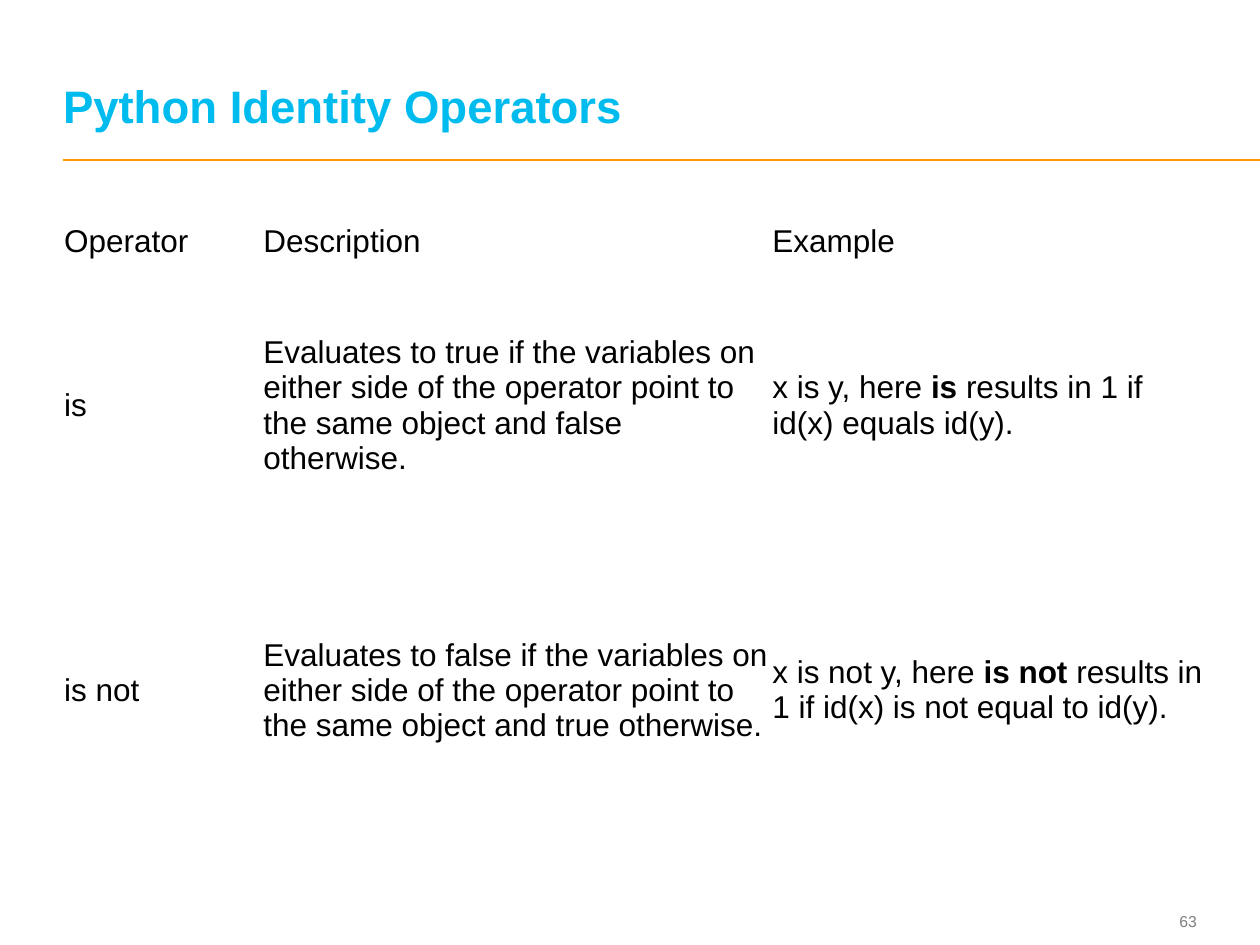
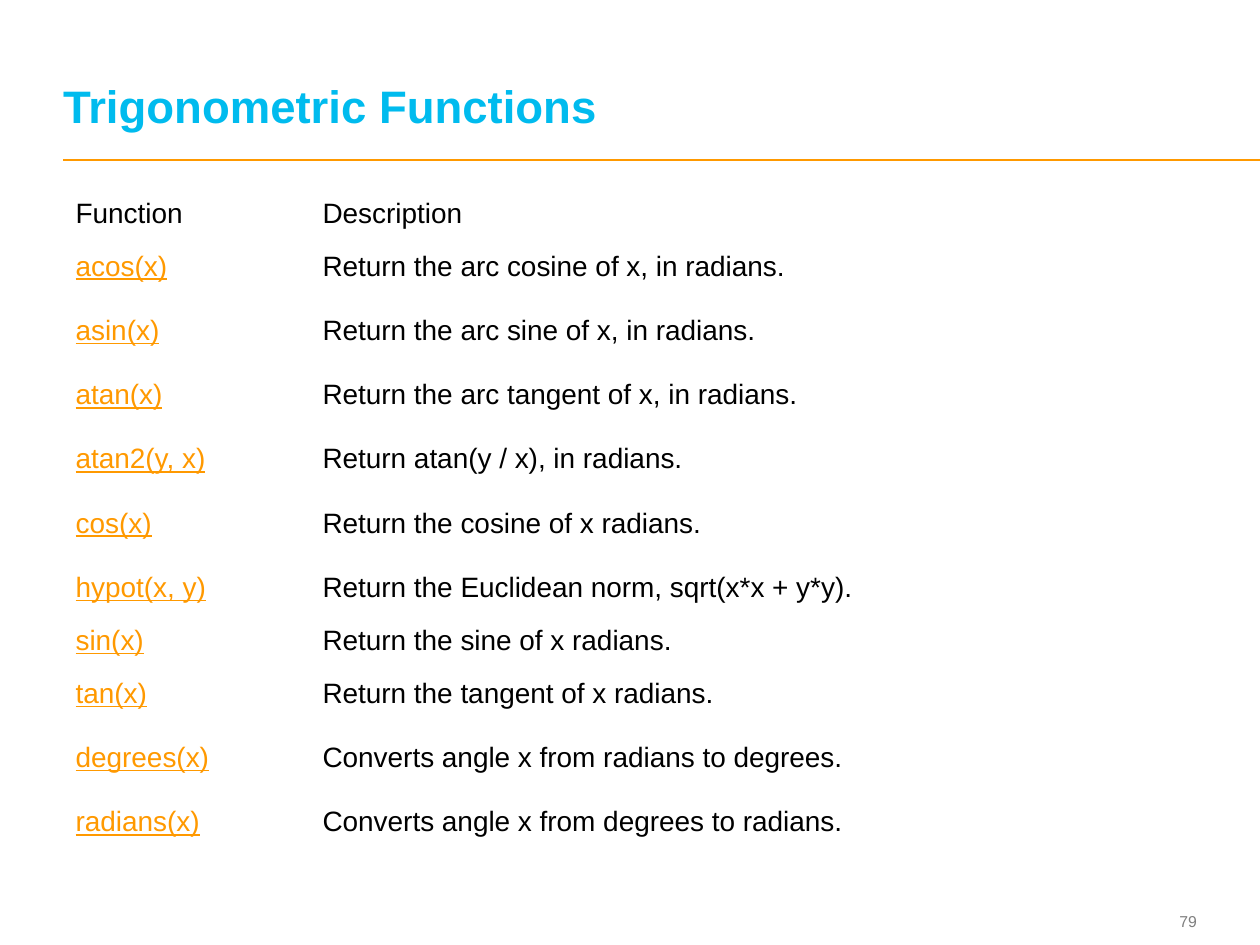
from lxml.etree import SubElement
from pptx import Presentation
from pptx.dml.color import RGBColor
from pptx.enum.shapes import MSO_CONNECTOR as Connector
from pptx.enum.text import MSO_ANCHOR as Anchor, MSO_AUTO_SIZE as AutoSize, PP_ALIGN as Align
from pptx.oxml.ns import qn
from pptx.util import Inches, Pt

COLORS = {"title": "00BBEE", "accent": "FF9900", "text": "000000", "number": "7F7F7F"}
FONT = "Arial"
WIDTH, HEIGHT = 10, 7.5
MARGIN = WIDTH / 20
RULE_Y = 1.27

IDENTITY_ROWS = [
    ("Operator", "Description", "Example"),
    ("is",
     "Evaluates to true if the variables on either side of the operator point to "
     "the same object and false otherwise.",
     ("x is y, here ", "is", " results in 1 if id(x) equals id(y).")),
    ("is not",
     "Evaluates to false if the variables on either side of the operator point to "
     "the same object and true otherwise.",
     ("x is not y, here ", "is not", " results in 1 if id(x) is not equal to id(y).")),
]

TRIG_ROWS = [
    ("Function", "Description"),
    ("acos(x)", "Return the arc cosine of x, in radians."),
    ("asin(x)", "Return the arc sine of x, in radians."),
    ("atan(x)", "Return the arc tangent of x, in radians."),
    ("atan2(y, x)", "Return atan(y / x), in radians."),
    ("cos(x)", "Return the cosine of x radians."),
    ("hypot(x, y)", "Return the Euclidean norm, sqrt(x*x + y*y)."),
    ("sin(x)", "Return the sine of x radians."),
    ("tan(x)", "Return the tangent of x radians."),
    ("degrees(x)", "Converts angle x from radians to degrees."),
    ("radians(x)", "Converts angle x from degrees to radians."),
]

PAGES = [
    {"title": "Python Identity Operators", "number": "63", "rows": IDENTITY_ROWS,
     "corner": (MARGIN, 1.75), "columns": (1.58, 4.04, 3.46),
     "tall": 2.26, "short": 0.34, "short_rows": {0},
     "inset": (0.01, 0.01), "size": 18, "linked": False},
    {"title": "Trigonometric Functions", "number": "79", "rows": TRIG_ROWS,
     "corner": (0.54, 1.53), "columns": (1.96, 7.33),
     "tall": 0.51, "short": 0.33, "short_rows": {0, 7},
     "inset": (0.06, 0.03), "size": 16, "linked": True},
]


def style(run, size, color, bold=False, underline=False):
    font = run.font
    font.name, font.size, font.bold = FONT, Pt(size), bold
    font.underline = underline
    font.color.rgb = RGBColor.from_string(COLORS[color])


def set_insets(holder, across, down):
    holder.margin_left = holder.margin_right = Inches(across)
    holder.margin_top = holder.margin_bottom = Inches(down)


def fill_line(shape, text, anchor, align, size, color, bold=False):
    frame = shape.text_frame
    frame.text = text
    frame.word_wrap = True
    frame.auto_size = AutoSize.NONE
    frame.vertical_anchor = anchor
    set_insets(frame, 0, 0)
    line = frame.paragraphs[0]
    line.alignment = align
    style(line.runs[0], size, color, bold)
    return line


def add_heading(slide, text):
    title = slide.shapes.title
    title.left, title.top = Inches(MARGIN), Inches(0.19)
    title.width, title.height = Inches(8.97), Inches(0.86)
    heading = fill_line(title, text, Anchor.BOTTOM, Align.LEFT, 26, "title", True)
    heading.line_spacing = Pt(26)


def add_frame(slide, number):
    rule = slide.shapes.add_connector(
        Connector.STRAIGHT, Inches(MARGIN), Inches(RULE_Y), Inches(WIDTH), Inches(RULE_Y))
    rule.line.color.rgb = RGBColor.from_string(COLORS["accent"])
    rule.line.width = Pt(1)
    SubElement(rule.element.spPr, qn("a:effectLst"))
    width = 0.59
    page_number = slide.shapes.add_textbox(
        Inches(WIDTH - MARGIN - width), Inches(7.18), Inches(width), Inches(0.27))
    fill_line(page_number, number, Anchor.MIDDLE, Align.RIGHT, 9, "number")


def fill_cell(cell, content, page, is_link):
    cell.fill.background()
    cell.vertical_anchor = Anchor.MIDDLE
    set_insets(cell, *page["inset"])
    paragraph = cell.text_frame.paragraphs[0]
    parts = (content,) if isinstance(content, str) else content
    for index, part in enumerate(parts):
        run = paragraph.add_run()
        run.text = part
        style(run, page["size"], "accent" if is_link else "text",
              bold=index == 1, underline=is_link)


def add_grid(slide, page):
    rows, columns = page["rows"], page["columns"]
    heights = [page["short"] if index in page["short_rows"] else page["tall"]
               for index in range(len(rows))]
    left, top = page["corner"]
    table = slide.shapes.add_table(
        len(rows), len(columns), Inches(left), Inches(top),
        Inches(sum(columns)), Inches(sum(heights))).table
    table.first_row = table.horz_banding = False
    for column, width in zip(table.columns, columns):
        column.width = Inches(width)
    for r, (row, height) in enumerate(zip(rows, heights)):
        table.rows[r].height = Inches(height)
        for c, content in enumerate(row):
            fill_cell(table.cell(r, c), content, page, page["linked"] and r > 0 and c == 0)


def main():
    deck = Presentation()
    deck.slide_width, deck.slide_height = Inches(WIDTH), Inches(HEIGHT)
    for page in PAGES:
        slide = deck.slides.add_slide(deck.slide_layouts[5])
        add_frame(slide, page["number"])
        add_heading(slide, page["title"])
        add_grid(slide, page)
    deck.save("out.pptx")


if __name__ == "__main__":
    main()
